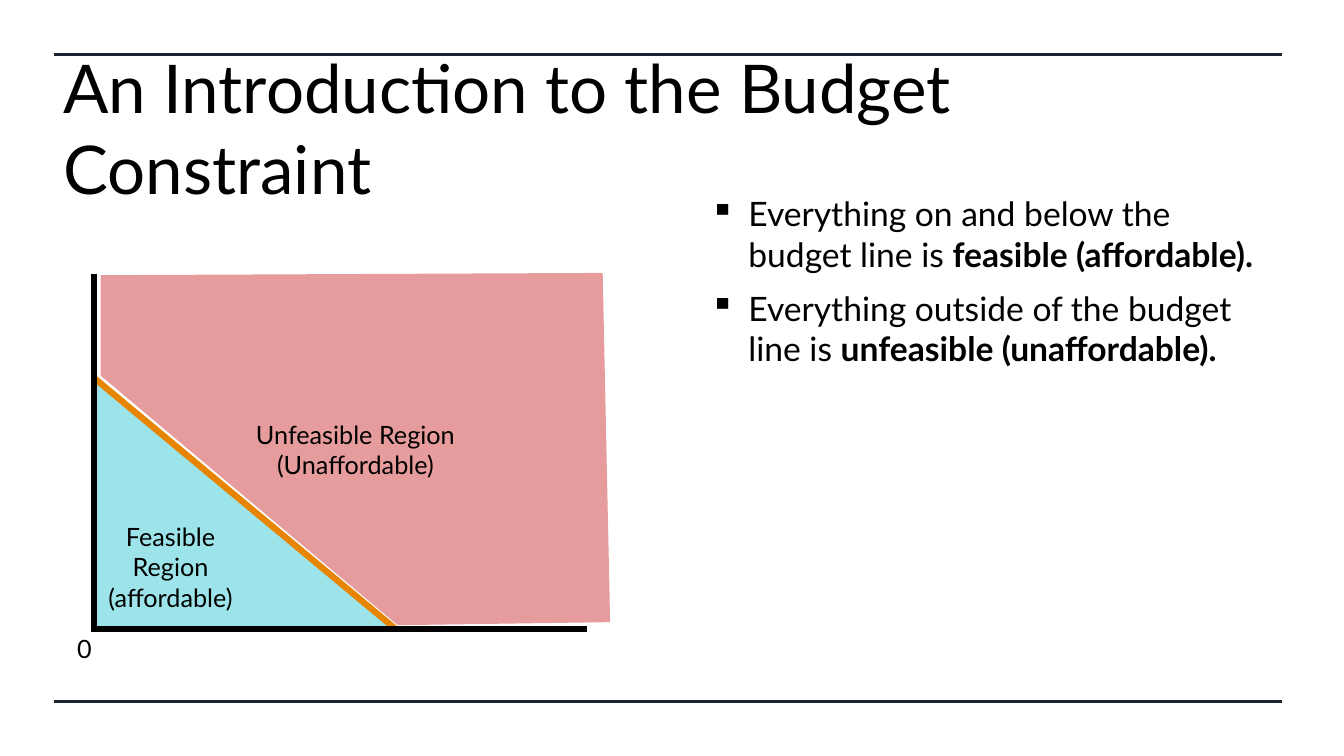
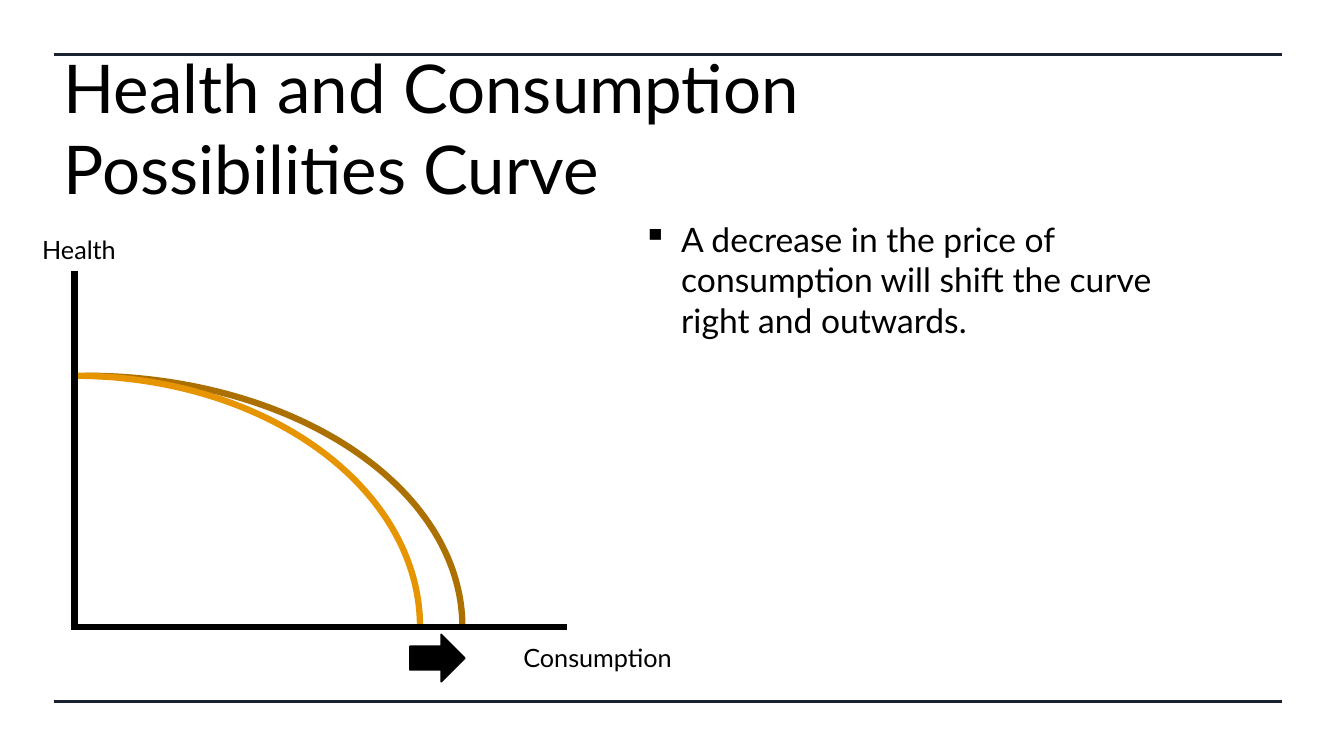
from lxml import etree
from pptx import Presentation, util as u
from pptx.dml.color import RGBColor
from pptx.enum import shapes, text
from pptx.oxml.ns import qn

COLORS = {
    "ink": "000000",
    "rule": "182230",
    "feasible": "00BAC8",
    "unfeasible": "C00000",
    "budget": "E78503",
    "curve": "E69500",
    "shifted": "AC7000",
}
FONT = "Lato"
TITLE_SIZE, BODY_SIZE, LABEL_SIZE = 48, 24, 18
HEAVY = 4.5
REGION_ALPHA = 39
WIDTH, HEIGHT = u.Inches(13.33), u.Inches(7.5)

# All positions are percentages of the slide: 100 columns by 100 rows.
LEFT, RIGHT = 4, 95.4
RULE_ROWS = (7.2, 92.8)
TITLE_BOX = (LEFT, 8.67, 87.2, 16.27)
BODY_SIZE_GRID = (43.05, 57.3)
AXIS_COLS, AXIS_ROWS = 36.65, 47
LABEL_ROWS = 5.3


def col(share):
    return round(WIDTH * share / 100)


def row(share):
    return round(HEIGHT * share / 100)


def box(left, top, width, height):
    return col(left), row(top), col(width), row(height)


def color(name):
    return RGBColor.from_string(COLORS[name])


def style_text(frame, size, align=text.PP_ALIGN.LEFT):
    for paragraph in frame.paragraphs:
        paragraph.alignment = align
        paragraph.font.size = u.Pt(size)
        paragraph.font.name = FONT
        paragraph.font.color.rgb = color("ink")


def paint(shape, fill=None, line=None, weight=1, alpha=None):
    """Set fill and outline, leaving out whichever is not named."""
    shape.shadow.inherit = False
    if fill:
        shape.fill.solid()
        shape.fill.fore_color.rgb = color(fill)
        if alpha:
            srgb = shape.fill._xPr.find(".//" + qn("a:srgbClr"))
            etree.SubElement(srgb, qn("a:alpha")).set("val", str(alpha * 1000))
    else:
        shape.fill.background()
    if line:
        shape.line.color.rgb = color(line)
        shape.line.width = u.Pt(weight)
    else:
        shape.line.fill.background()


def add_line(slide, start, end, line, weight):
    connector = slide.shapes.add_connector(
        shapes.MSO_CONNECTOR.STRAIGHT,
        col(start[0]), row(start[1]), col(end[0]), row(end[1]))
    connector.line.color.rgb = color(line)
    connector.line.width = u.Pt(weight)
    etree.SubElement(connector._element.spPr, qn("a:effectLst"))


def add_outline(slide, points, close):
    first, *rest = [(col(x), row(y)) for x, y in points]
    builder = slide.shapes.build_freeform(*first)
    builder.add_line_segments(rest, close=close)
    return builder.convert_to_shape()


def add_axes(slide, origin_col, origin_row):
    axes = add_outline(slide, [
        (origin_col, origin_row - AXIS_ROWS),
        (origin_col, origin_row),
        (origin_col + AXIS_COLS, origin_row)], close=False)
    paint(axes, line="ink", weight=HEAVY)
    miter = etree.SubElement(axes.line._get_or_add_ln(), qn("a:miter"))
    miter.set("lim", "800000")


def add_region(shape, fill, caption):
    """Tint a shape and centre its caption."""
    paint(shape, fill=fill, alpha=REGION_ALPHA)
    frame = shape.text_frame
    frame.text = caption
    frame.word_wrap = True
    frame.vertical_anchor = text.MSO_ANCHOR.MIDDLE
    style_text(frame, LABEL_SIZE, text.PP_ALIGN.CENTER)


def add_label(slide, left, top, width, caption):
    frame = slide.shapes.add_textbox(
        *box(left, top, width, LABEL_ROWS)).text_frame
    frame.word_wrap = False
    frame.text = caption
    style_text(frame, LABEL_SIZE)


def add_bullets(slide, left, top, bullets):
    """Each bullet is a plain part followed by a bold part."""
    frame = slide.shapes.add_textbox(
        *box(left, top, *BODY_SIZE_GRID)).text_frame
    frame.word_wrap = True
    for index, (plain, strong) in enumerate(bullets):
        paragraph = frame.add_paragraph() if index else frame.paragraphs[0]
        paragraph.text = plain
        if strong:
            run = paragraph.add_run()
            run.text = strong
            run.font.bold = True
        properties = paragraph._p.get_or_add_pPr()
        indent = u.Inches(0.38)
        properties.set("marL", str(indent))
        properties.set("indent", str(-indent))
        etree.SubElement(properties, qn("a:buChar")).set("char", "▪")
        if index:
            paragraph.space_before = u.Pt(10)
    style_text(frame, BODY_SIZE)


def add_curve(slide, center_col, base_row, radius_cols, radius_rows, line):
    """Draw the upper right quarter of an ellipse."""
    arc = slide.shapes.add_shape(shapes.MSO_SHAPE.ARC, *box(
        center_col - radius_cols, base_row - radius_rows,
        2 * radius_cols, 2 * radius_rows))
    paint(arc, line=line, weight=HEAVY)


def add_titled_slide(deck, title):
    slide = deck.slides.add_slide(deck.slide_layouts[6])
    for rule_row in RULE_ROWS:
        add_line(slide, (LEFT, rule_row), (RIGHT, rule_row), "rule", 2.25)
    frame = slide.shapes.add_textbox(*box(*TITLE_BOX)).text_frame
    frame.word_wrap = True
    frame.vertical_anchor = text.MSO_ANCHOR.MIDDLE
    frame.text = title
    style_text(frame, TITLE_SIZE)
    return slide


def build_budget_constraint(deck):
    slide = add_titled_slide(deck, "An Introduction to the Budget Constraint")
    feasible = slide.shapes.add_shape(
        shapes.MSO_SHAPE.ISOSCELES_TRIANGLE, *box(7.1, 50, 22.35, 33.3))
    feasible.adjustments[0] = 0
    add_region(feasible, "feasible", "Feasible Region\v(affordable)")
    add_line(slide, (7, 50), (29.5, 83.3), "budget", HEAVY)
    add_bullets(slide, 52.1, 24.9, [
        ("Everything on and below the budget line is ",
         "feasible (affordable)."),
        ("Everything outside of the budget line is ",
         "unfeasible (unaffordable)."),
    ])
    add_axes(slide, 7, 83.2)
    add_label(slide, 5, 83.1, 2.55, "0")
    unfeasible = add_outline(slide, [
        (7.5, 49.7), (7.5, 36.4), (44.85, 36.1), (45.4, 82.3), (29.6, 82.7),
    ], close=True)
    add_region(unfeasible, "unfeasible", "Unfeasible Region\v(Unaffordable)")


def build_possibilities_curve(deck):
    slide = add_titled_slide(
        deck, "Health and Consumption\vPossibilities Curve")
    origin_col, origin_row = 5.55, 82.9
    add_curve(slide, 6.4, origin_row, 28, 33.2, "shifted")
    add_curve(slide, origin_col, origin_row, 25.7, 33.2, "curve")
    add_bullets(slide, 47.1, 28.3, [
        ("A decrease in the price of consumption will shift the curve "
         "right and outwards.", ""),
    ])
    add_axes(slide, origin_col, origin_row)
    add_label(slide, 2.4, 30.4, 7.1, "Health")
    add_label(slide, 38.2, 84.3, 12.75, "Consumption")
    shift = slide.shapes.add_shape(
        shapes.MSO_SHAPE.RIGHT_ARROW, *box(30.5, 83.9, 4.1, 6.3))
    paint(shift, fill="ink", line="ink")


def main():
    deck = Presentation()
    deck.slide_width, deck.slide_height = WIDTH, HEIGHT
    build_budget_constraint(deck)
    build_possibilities_curve(deck)
    deck.save("out.pptx")


if __name__ == "__main__":
    main()
